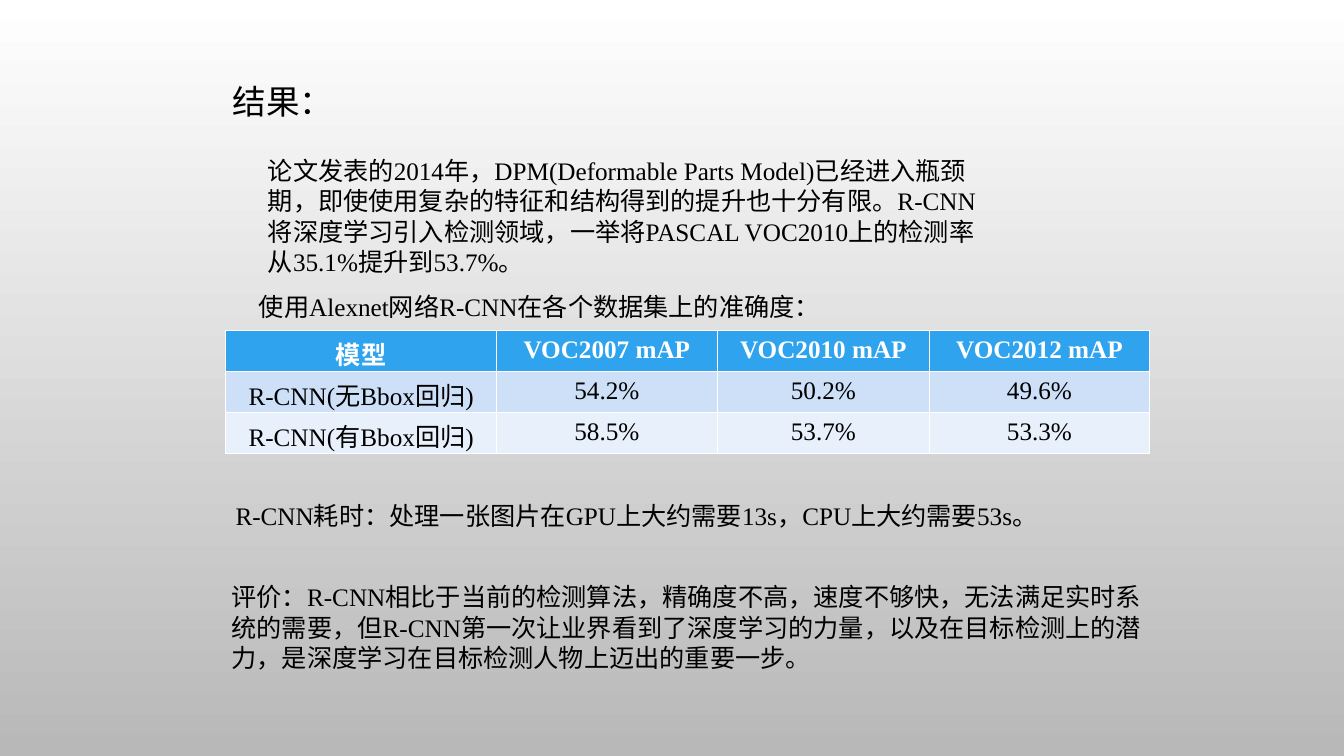
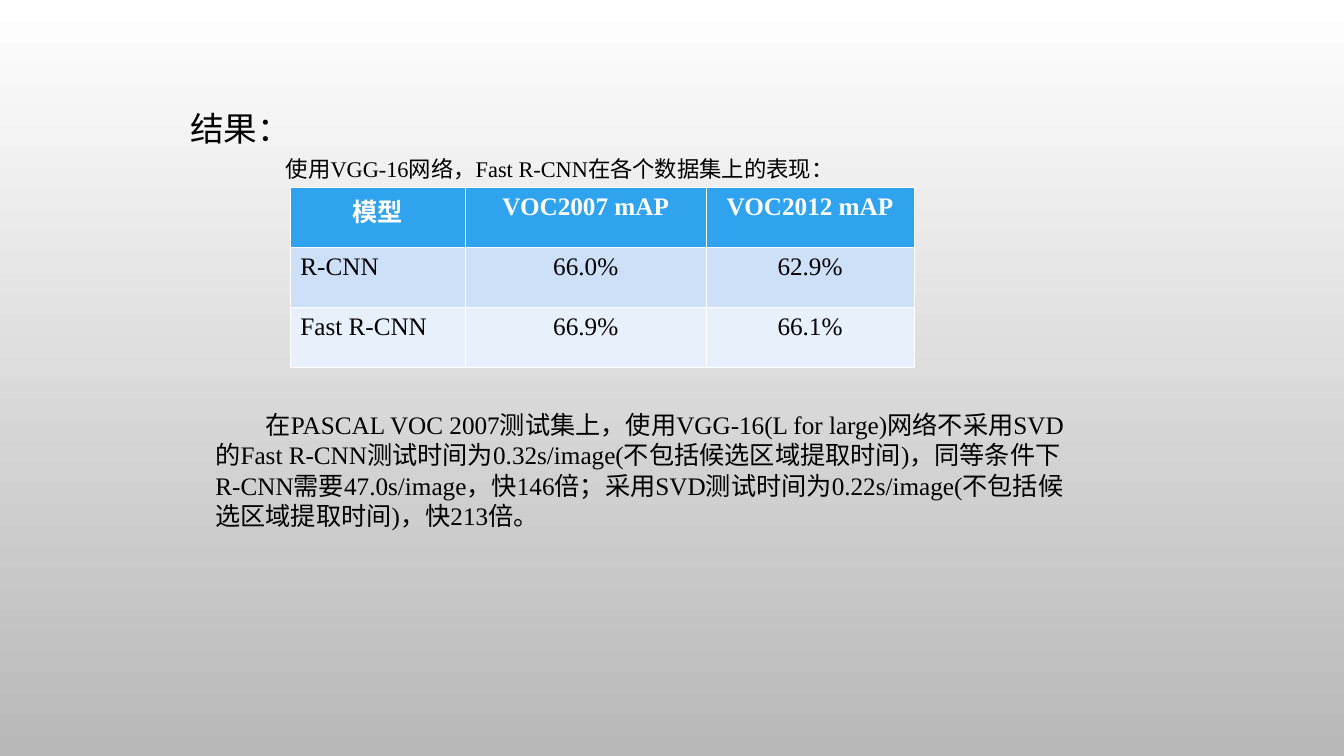
"""Build two slides of detection results for R-CNN and Fast R-CNN."""
from lxml import etree
from pptx import Presentation
from pptx.dml.color import RGBColor
from pptx.enum.text import MSO_ANCHOR, MSO_AUTO_SIZE, PP_ALIGN
from pptx.oxml.ns import qn
from pptx.util import Inches, Pt

LEFT, CENTER = PP_ALIGN.LEFT, PP_ALIGN.CENTER
TOP = MSO_ANCHOR.TOP
GROW = MSO_AUTO_SIZE.SHAPE_TO_FIT_TEXT

WHITE = RGBColor(0xFF, 0xFF, 0xFF)
BLACK = RGBColor(0x00, 0x00, 0x00)
GREY = RGBColor(0xB8, 0xB8, 0xB8)
HEADER_BLUE = RGBColor(0x2F, 0xA3, 0xEE)
ROW_FILLS = [HEADER_BLUE, RGBColor(0xCD, 0xE0, 0xF8), RGBColor(0xE8, 0xF0, 0xFC)]

TITLE_FONT, BODY_FONT = "Calibri", "Times New Roman"
TITLE_TEXT = "结果："
TITLE_SIZE = (9, 6.67)
THIN, THICK = Pt(0.45), Pt(1.47)
CENTERED_CELL_MARGIN = Inches(0.05)
TITLE_ONLY = 5

presentation = Presentation()
presentation.slide_width = Inches(13.34)
presentation.slide_height = Inches(7.5)
COLUMN = presentation.slide_width / 100
ROW = presentation.slide_height / 100

background = presentation.slide_master.background.fill
background.gradient()
background.gradient_angle = 270
for stop, color in zip(background.gradient_stops, (WHITE, GREY)):
    stop.color.rgb = color


def style_text(text_frame, text, font_name, size, color, bold=False, align=LEFT):
    """Write one paragraph and format it."""
    text_frame.text = text
    paragraph = text_frame.paragraphs[0]
    paragraph.alignment = align
    font = paragraph.runs[0].font
    font.name, font.size, font.bold = font_name, Pt(size), bold
    font.color.rgb = color
    return paragraph


def add_border(cell, side, width):
    """Draw one white edge of a table cell."""
    properties = cell._tc.get_or_add_tcPr()
    line = etree.SubElement(properties, qn(f"a:ln{side}"), w=str(width))
    fill = etree.SubElement(line, qn("a:solidFill"))
    etree.SubElement(fill, qn("a:srgbClr"), val=str(WHITE))


SLIDES = [
    {
        "title_at": (16.57, 10),
        "table_at": (16.79, 43.73),
        "columns": [20.16, 16.42, 15.8, 16.36],
        "row_height": 5.42,
        "model_align": CENTER,
        "table": [
            ["模型", "VOC2007 mAP", "VOC2010 mAP", "VOC2012 mAP"],
            ["R-CNN(无Bbox回归)", "54.2%", "50.2%", "49.6%"],
            ["R-CNN(有Bbox回归)", "58.5%", "53.7%", "53.3%"],
        ],
        "texts": [
            ((16.49, 76.3, 69.27, 13.33), 18, True, 0,
             "评价：R-CNN相比于当前的检测算法，精确度不高，速度不够快，无法满足实时系统的需要，"
             "但R-CNN第一次让业界看到了深度学习的力量，以及在目标检测上的潜力，"
             "是深度学习在目标检测人物上迈出的重要一步。"),
            ((18.52, 37.87, 45.05, 5.33), 18, False, 0,
             "使用Alexnet网络R-CNN在各个数据集上的准确度："),
            ((16.79, 65.47, 64.77, 9.33), 18, True, 0,
             "R-CNN耗时：处理一张图片在GPU上大约需要13s，CPU上大约需要53s。"),
            ((19.19, 19.9, 54.72, 17.33), 18, True, 0,
             "论文发表的2014年，DPM(Deformable Parts Model)已经进入瓶颈期，"
             "即使使用复杂的特征和结构得到的提升也十分有限。R-CNN将深度学习引入检测领域，"
             "一举将PASCAL VOC2010上的检测率从35.1%提升到53.7%。"),
        ],
    },
    {
        "title_at": (13.4, 13.6),
        "table_at": (21.6, 24.8),
        "columns": [13.02, 17.93, 15.45],
        "row_height": 7.94,
        "model_align": LEFT,
        "table": [
            ["模型", "VOC2007 mAP", "VOC2012 mAP"],
            ["R-CNN", "66.0%", "62.9%"],
            ["Fast R-CNN", "66.9%", "66.1%"],
        ],
        "texts": [
            ((20.54, 19.87, 43.85, 4.93), 16, False, 0,
             "使用VGG-16网络，Fast R-CNN在各个数据集上的表现："),
            ((15.29, 53.5, 65.07, 17.33), 18, True, 0.5,
             "在PASCAL VOC 2007测试集上，使用VGG-16(L for large)网络不采用SVD的Fast R-CNN"
             "测试时间为0.32s/image(不包括候选区域提取时间)，同等条件下R-CNN需要47.0s/image，"
             "快146倍；采用SVD测试时间为0.22s/image(不包括候选区域提取时间)，快213倍。"),
        ],
    },
]

for content in SLIDES:
    slide = presentation.slides.add_slide(presentation.slide_layouts[TITLE_ONLY])

    title = slide.shapes.title
    left, top = content["title_at"]
    width, height = TITLE_SIZE
    title.left, title.top = int(left * COLUMN), int(top * ROW)
    title.width, title.height = int(width * COLUMN), int(height * ROW)
    style_text(title.text_frame, TITLE_TEXT, TITLE_FONT, 24, BLACK)
    title.text_frame.vertical_anchor = TOP
    title.text_frame.word_wrap = False
    title.text_frame.auto_size = GROW

    left, top = content["table_at"]
    rows, columns = content["table"], content["columns"]
    row_height = int(content["row_height"] * ROW)
    table = slide.shapes.add_table(
        len(rows), len(columns), int(left * COLUMN), int(top * ROW),
        int(sum(columns) * COLUMN), row_height * len(rows)).table
    for table_column, width in zip(table.columns, columns):
        table_column.width = int(width * COLUMN)
    for row_index, values in enumerate(rows):
        table.rows[row_index].height = row_height
        is_header = row_index == 0
        for column_index, value in enumerate(values):
            cell = table.cell(row_index, column_index)
            is_model = column_index == 0 and not is_header
            align = content["model_align"] if is_model else CENTER
            style_text(cell.text_frame, value, BODY_FONT, 18,
                       WHITE if is_header else BLACK, is_header, align)
            if align == CENTER:
                cell.margin_left = cell.margin_right = CENTERED_CELL_MARGIN
            add_border(cell, "L", THIN)
            add_border(cell, "R", THIN)
            add_border(cell, "T", THICK if row_index == 1 else THIN)
            add_border(cell, "B", THICK if is_header else THIN)
            cell.fill.solid()
            cell.fill.fore_color.rgb = ROW_FILLS[row_index]

    for (left, top, width, height), size, wrap, indent, text in content["texts"]:
        text_box = slide.shapes.add_textbox(
            int(left * COLUMN), int(top * ROW), int(width * COLUMN), int(height * ROW))
        text_frame = text_box.text_frame
        text_frame.word_wrap = wrap
        text_frame.auto_size = GROW
        paragraph = style_text(text_frame, text, BODY_FONT, size, BLACK)
        if indent:
            paragraph._p.get_or_add_pPr().set("indent", str(Inches(indent)))

presentation.save("out.pptx")
